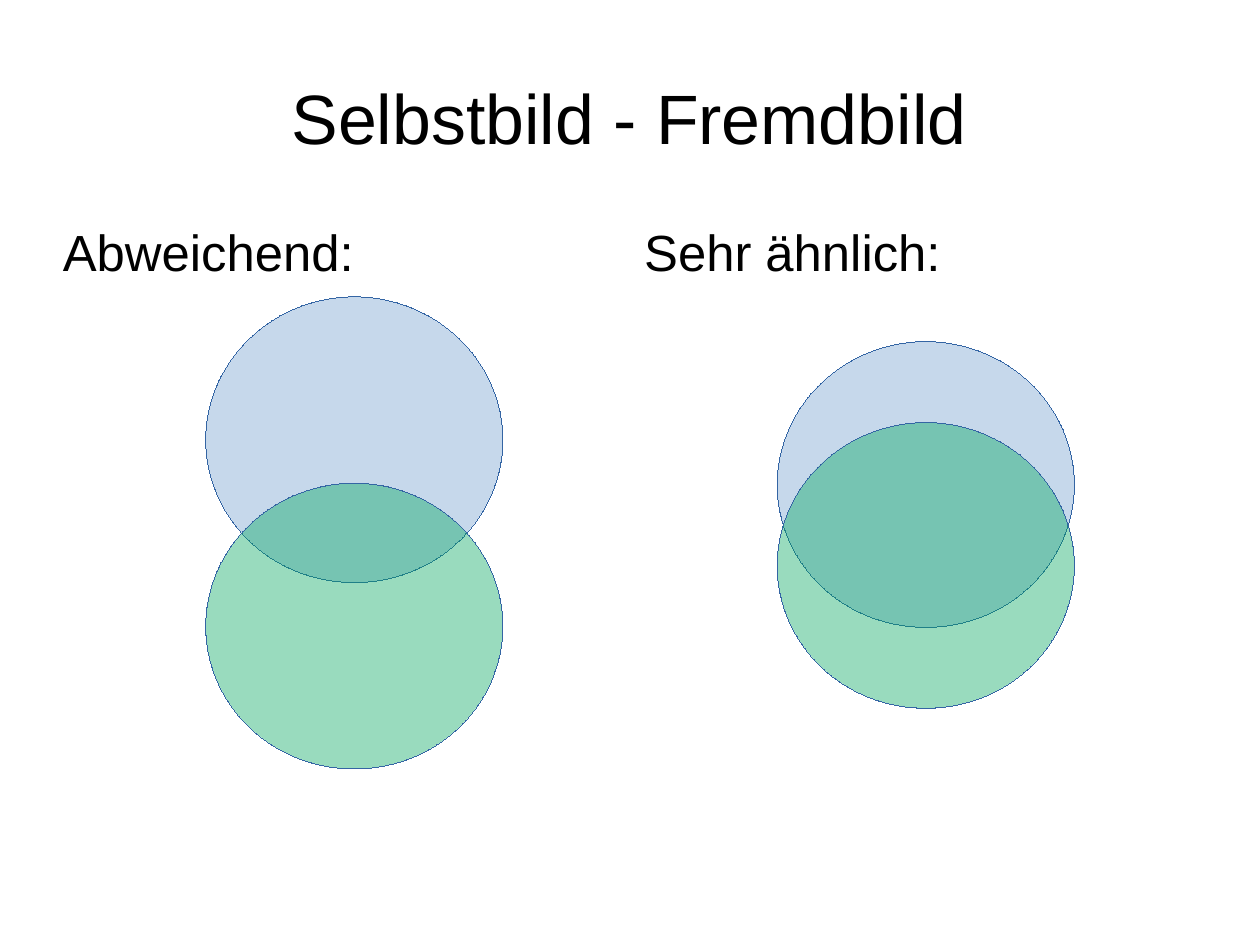
from lxml.etree import SubElement
from pptx import Presentation
from pptx.dml.color import RGBColor as Rgb
from pptx.enum.shapes import MSO_SHAPE as Kind
from pptx.enum.text import MSO_ANCHOR as Anchor, PP_ALIGN as Align
from pptx.oxml.ns import qn
from pptx.util import Pt

HUES = {"text": "000000", "self": "729FCF", "other": "00A65D", "edge": "3465A4"}
TITLE = "Selbstbild - Fremdbild"
PAIRS = [
    {"label": "Abweichend:", "left": 39.6, "round": 129.6,
     "tops": {"self": 187, "other": 304.4}},
    {"label": "Sehr ähnlich:", "left": 405.8, "round": 489.6,
     "tops": {"self": 215.2, "other": 266.2}},
]
WIDE, HIGH = 187.2, 180
ALPHA = 40


def tint(name):
    return Rgb.from_string(HUES[name])


def write(shape, text, size, align, anchor):
    frame = shape.text_frame
    frame.word_wrap = True
    frame.vertical_anchor = anchor
    frame.margin_left = frame.margin_right = 0
    frame.margin_top = frame.margin_bottom = 0
    para = frame.paragraphs[0]
    para.alignment = align
    run = para.add_run()
    run.text = text
    run.font.name = "Arial"
    run.font.size = Pt(size)
    run.font.color.rgb = tint("text")


def disc(slide, name, left, top):
    oval = slide.shapes.add_shape(Kind.OVAL, Pt(left), Pt(top), Pt(WIDE), Pt(HIGH))
    oval.shadow.inherit = False
    oval.fill.solid()
    oval.fill.fore_color.rgb = tint(name)
    props = oval.element.spPr
    color = props.find(qn("a:solidFill"))[0]
    SubElement(color, qn("a:alpha"), val=str(ALPHA * 1000))
    oval.line.color.rgb = tint("edge")
    props.find(qn("a:ln")).set("w", "0")


def main():
    deck = Presentation()
    deck.slide_width, deck.slide_height = Pt(793.7), Pt(595.28)
    slide = deck.slides.add_slide(deck.slide_layouts[5])
    title = slide.shapes.title
    title.left, title.top = Pt(39.6), Pt(23.8)
    title.width, title.height = Pt(714), Pt(99.4)
    write(title, TITLE, 44, Align.CENTER, Anchor.MIDDLE)
    for pair in PAIRS:
        box = slide.shapes.add_textbox(Pt(pair["left"]), Pt(139), Pt(348.5), Pt(344.9))
        write(box, pair["label"], 32, Align.LEFT, Anchor.TOP)
        for name, top in pair["tops"].items():
            disc(slide, name, pair["round"], top)
    deck.save("out.pptx")


if __name__ == "__main__":
    main()
